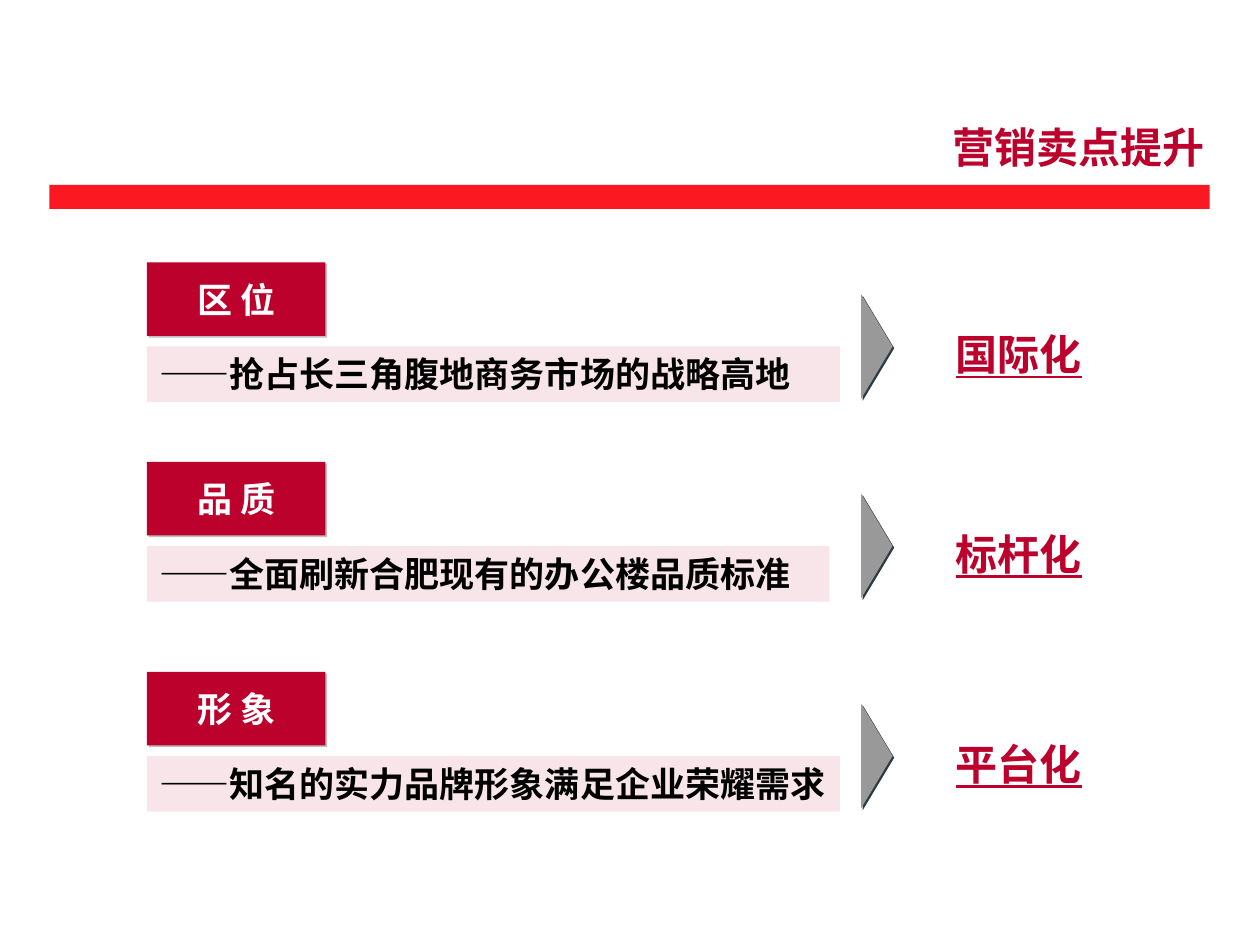
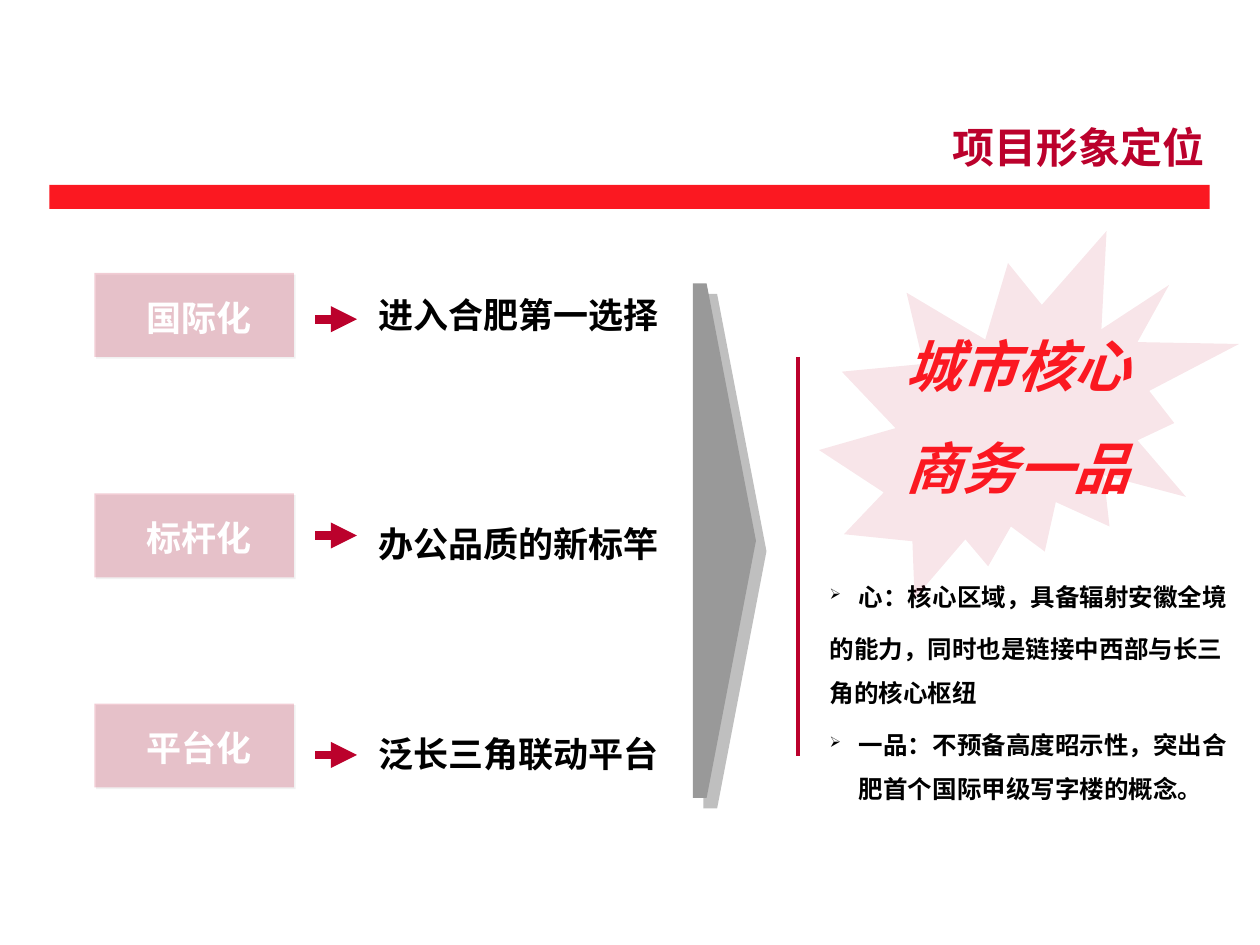
import pptx
import pptx.dml.color
import pptx.enum.shapes
import pptx.enum.text
import pptx.oxml
import pptx.oxml.ns
import pptx.util

SCALE = 7620
CRIMSON, RED, GREY, BLACK, WHITE = "BB012C", "FB1821", "999999", "000000", "FFFFFF"
SHADOW_GREY, SHADOW_NAVY = "808080", "2C3A44"
SANS, LATIN = "Noto Sans CJK SC", "Arial"
SHAPES = pptx.enum.shapes.MSO_SHAPE
LEFT, CENTER, RIGHT = (pptx.enum.text.PP_ALIGN.LEFT, pptx.enum.text.PP_ALIGN.CENTER,
                       pptx.enum.text.PP_ALIGN.RIGHT)


def px(*lengths):
    """Turn pixel lengths into EMU."""
    return [pptx.util.Emu(length * SCALE) for length in lengths]


def color(value):
    """Turn a hex string into a colour."""
    return pptx.dml.color.RGBColor.from_string(value)


def add_xml(parent, markup):
    """Append one drawing element, given without its namespace, to a parent."""
    namespace = pptx.oxml.ns.nsdecls("a")
    name, rest = markup[1:].split(" ", 1)
    parent.append(pptx.oxml.parse_xml(f"<{name} {namespace} {rest}"))


def paint(shape, fill, opacity=100, shadow=None, distance=1.4, shadow_opacity=50):
    """Give a shape its fill, no outline and an optional shadow cast down and right."""
    shape.fill.solid()
    shape.fill.fore_color.rgb = color(fill)
    shape.line.fill.background()
    shape.shadow.inherit = False
    properties = shape.element.spPr
    if opacity < 100:
        add_xml(properties.xpath("./a:solidFill/a:srgbClr")[0],
                f'<a:alpha val="{opacity * 1000}"/>')
    if shadow:
        add_xml(properties.xpath("./a:effectLst")[0],
                f'<a:outerShdw blurRad="0" dist="{pptx.util.Pt(distance)}" dir="2700000" '
                f'algn="ctr" rotWithShape="0"><a:srgbClr val="{shadow}">'
                f'<a:alpha val="{shadow_opacity * 1000}"/></a:srgbClr></a:outerShdw>')


def add_block(slide, kind, box, fill, **style):
    """Add a painted preset shape."""
    shape = slide.shapes.add_shape(kind, *px(*box))
    paint(shape, fill, **style)
    return shape


def write(shape, lines, size, ink, font=SANS, align=LEFT, insets=(12, 6), middle=False,
          spacing=None, before=0, after=0, bulleted=(), italic=False, underline=False):
    """Write bold paragraphs into a shape; bulleted holds the indexes that get a bullet."""
    frame = shape.text_frame
    frame.word_wrap = True
    anchor = pptx.enum.text.MSO_ANCHOR
    frame.vertical_anchor = anchor.MIDDLE if middle else anchor.TOP
    frame.margin_left, frame.margin_top = px(*insets)
    frame.margin_right, frame.margin_bottom = px(*insets)
    for index, line in enumerate(lines):
        paragraph = frame.add_paragraph() if index else frame.paragraphs[0]
        paragraph.text = line
        paragraph.alignment = align
        if spacing:
            paragraph.line_spacing = spacing
        if index and before:
            paragraph.space_before = pptx.util.Pt(before)
        if after:
            paragraph.space_after = pptx.util.Pt(after)
        if index in bulleted:
            add_bullet(paragraph)
        paragraph.font.name = font
        paragraph.font.size = pptx.util.Pt(size)
        paragraph.font.bold = True
        paragraph.font.italic = italic
        paragraph.font.underline = underline
        paragraph.font.color.rgb = color(ink)


def add_bullet(paragraph):
    """Give a paragraph a small arrow bullet and a hanging indent."""
    properties = paragraph._p.get_or_add_pPr()
    indent = px(28)[0]
    properties.set("marL", str(indent))
    properties.set("indent", str(-indent))
    add_xml(properties, f'<a:buClr ><a:srgbClr val="{BLACK}"/></a:buClr>')
    add_xml(properties, '<a:buSzPct val="60000"/>')
    add_xml(properties, '<a:buChar char="➢"/>')


def add_text(slide, box, lines, size, ink, **style):
    """Add a text box."""
    write(slide.shapes.add_textbox(*px(*box)), lines, size, ink, **style)


def add_line(slide, start, end, width, arrow=False):
    """Add a crimson line, with an optional arrowhead at its end."""
    straight = pptx.enum.shapes.MSO_CONNECTOR.STRAIGHT
    connector = slide.shapes.add_connector(straight, *px(*start, *end))
    connector.line.color.rgb = color(CRIMSON)
    connector.line.width = pptx.util.Pt(width)
    if arrow:
        add_xml(connector.line._get_or_add_ln(), '<a:tailEnd type="triangle"/>')
    add_xml(connector._element.spPr, "<a:effectLst />")


def add_titled_slide(presentation, title):
    """Add a blank slide with the red band and a title above its right end."""
    slide = presentation.slides.add_slide(presentation.slide_layouts[6])
    add_block(slide, SHAPES.RECTANGLE, (47, 176, 1105, 23), RED)
    add_text(slide, (440, 110, 719, 60), [title], 24, CRIMSON, align=RIGHT)
    return slide


def add_selling_point(slide, left, top, tag, claim, claim_width, outcome):
    """Add one row: a tag over its claim, an arrow and the outcome."""
    tag_shape = add_block(slide, SHAPES.RECTANGLE, (left, top, 170, 70), CRIMSON,
                          shadow=SHADOW_GREY)
    write(tag_shape, [tag], 20, WHITE, font=LATIN, align=CENTER, insets=(0, 0), middle=True)
    claim_shape = add_block(slide, SHAPES.RECTANGLE, (left, top + 80, claim_width, 53),
                            CRIMSON, opacity=10)
    write(claim_shape, [claim], 20, BLACK, font=LATIN)
    arrow = add_block(slide, SHAPES.RIGHT_ARROW, (left + 680, top + 30, 30, 100), GREY,
                      shadow=SHADOW_NAVY, shadow_opacity=100)
    arrow.adjustments[0], arrow.adjustments[1] = 0.5, 1
    add_text(slide, (left + 750, top + 50, 160, 67), [outcome], 24, CRIMSON,
             align=CENTER, spacing=1.15, underline=True)


def add_position(slide, left, top, label, phrase, phrase_drop, arrow_drop):
    """Add one row: a pale label box, a short arrow and the phrase it leads to."""
    add_block(slide, SHAPES.RECTANGLE, (left, top, 190, 80), CRIMSON, opacity=20,
              shadow=SHADOW_GREY)
    add_text(slide, (left + 20, top + 10, 160, 59), [label], 20, WHITE,
             align=CENTER, spacing=1.15)
    add_text(slide, (left + 270, top + phrase_drop, 270, 48), [phrase], 20, BLACK,
             insets=(0, 0), spacing=1.2, after=1)
    arrow_y = top + arrow_drop
    add_line(slide, (left + 210, arrow_y), (left + 250, arrow_y), 5, arrow=True)


def add_wedge(slide, left, top, width, height):
    """Add the tall grey wedge that points to the conclusion."""
    shoulder = left + 13
    builder = slide.shapes.build_freeform(left, top, scale=SCALE)
    builder.add_line_segments([(shoulder, top), (left + width, top + height // 2),
                               (shoulder, top + height), (left, top + height)])
    paint(builder.convert_to_shape(), GREY, shadow=SHADOW_GREY, distance=8.5)


def add_conclusion(slide, left, top):
    """Add the divider, the explanation and the slogan on its burst."""
    add_line(slide, (left, top + 120), (left, top + 500), 2)
    explanation = ["心：核心区域，具备辐射安徽全境",
                   "的能力，同时也是链接中西部与长三角的核心枢纽",
                   "一品：不预备高度昭示性，突出合肥首个国际甲级写字楼的概念。"]
    add_text(slide, (left + 30, top + 320, 380, 224), explanation, 14, BLACK,
             insets=(0, 0), spacing=1.5, before=3.5, after=1, bulleted=(0, 2))
    add_block(slide, SHAPES.EXPLOSION2, (left + 20, top, 400, 350), CRIMSON, opacity=10)
    add_text(slide, (left + 91, top + 90, 250, 174), ["城市核心", "商务一品"], 32, RED,
             before=20, italic=True)


def build_selling_points(presentation):
    """Build the slide of selling points."""
    slide = add_titled_slide(presentation, "营销卖点提升")
    rows = [(250, "区 位", "——抢占长三角腹地商务市场的战略高地", 660, "国际化"),
            (440, "品 质", "——全面刷新合肥现有的办公楼品质标准", 650, "标杆化"),
            (640, "形 象", "——知名的实力品牌形象满足企业荣耀需求", 660, "平台化")]
    for row in rows:
        add_selling_point(slide, 140, *row)


def build_positioning(presentation):
    """Build the slide of the project's positioning."""
    slide = add_titled_slide(presentation, "项目形象定位")
    rows = [(260, "国际化", "进入合肥第一选择", 12, 44),
            (470, "标杆化", "办公品质的新标竿", 20, 40),
            (670, "平台化", "泛长三角联动平台", 20, 49)]
    for row in rows:
        add_position(slide, 90, *row)
    add_wedge(slide, 660, 270, 60, 490)
    add_conclusion(slide, 760, 220)


def main():
    """Build and save the presentation."""
    presentation = pptx.Presentation()
    presentation.slide_width, presentation.slide_height = px(1200, 900)
    build_selling_points(presentation)
    build_positioning(presentation)
    presentation.save("out.pptx")


if __name__ == "__main__":
    main()
